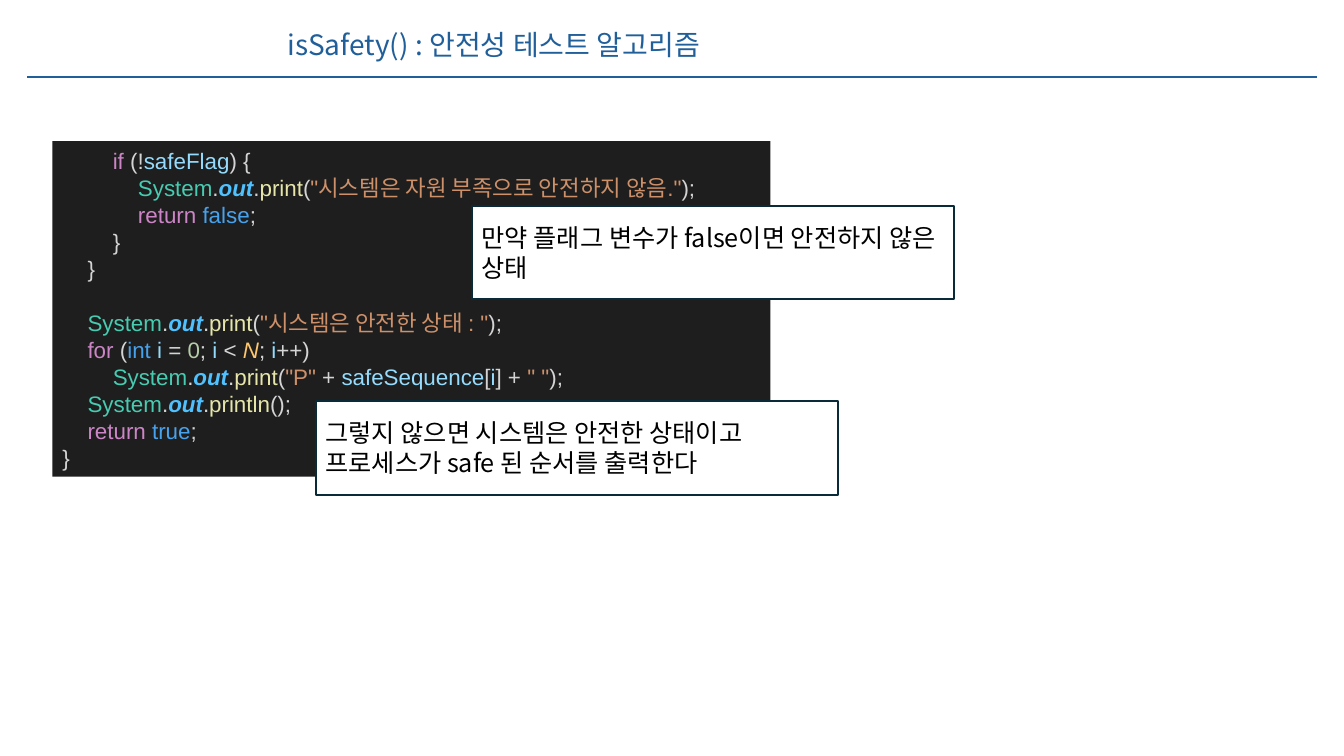
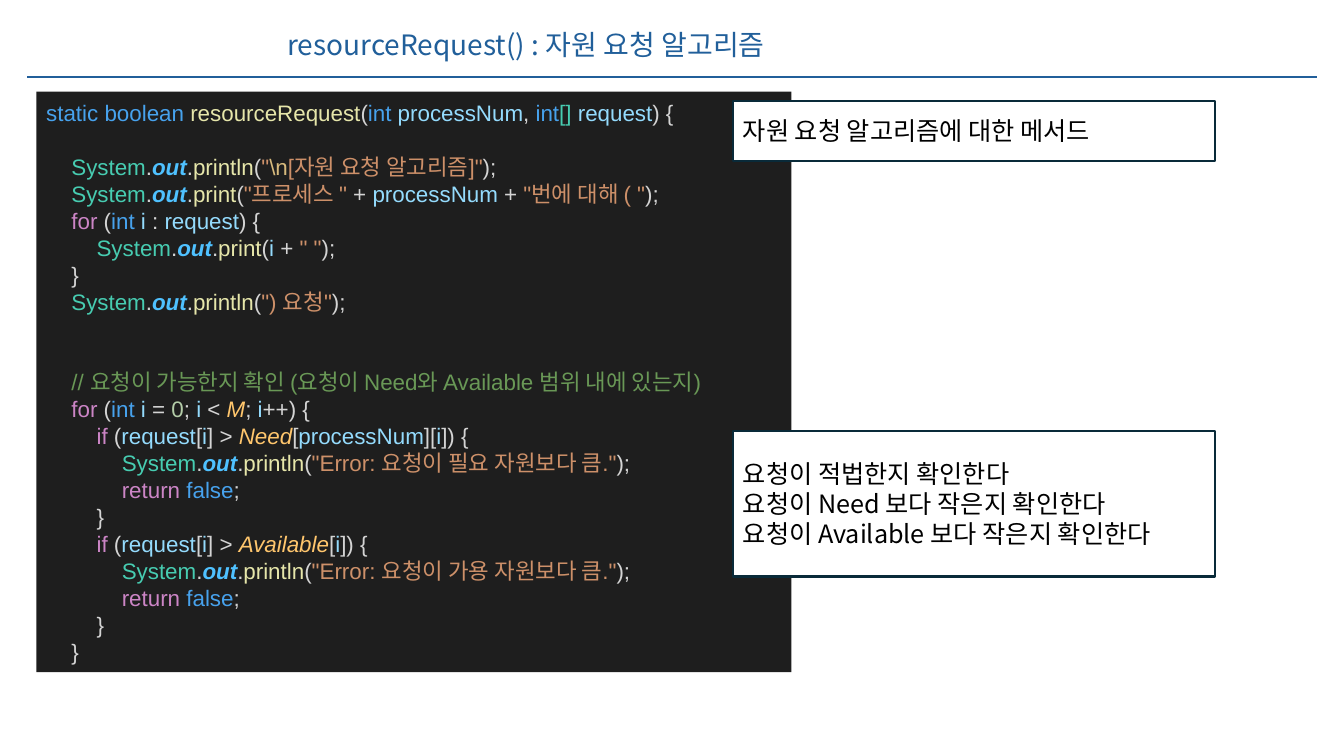
from itertools import groupby

from pptx import Presentation
from pptx import util as u
from pptx.dml.color import RGBColor
from pptx.enum import shapes, text
from pptx.oxml.ns import qn

COLORS = {
    "accent": "215F9A", "white": "FFFFFF", "black": "000000",
    "note_line": "092A39", "code_back": "1E1E1E",
    "plain": "D4D4D4", "control": "CC85C6", "keyword": "47A2ED",
    "type": "47CCB1", "field": "4FC1FF", "function": "E6E6AA",
    "variable": "94DBFD", "constant": "FFC66D", "number": "B4CDA8",
    "string": "CD9069", "escape": "D7BA7D", "comment": "699856",
}

# Words of each syntax category; any other word is a variable
VOCABULARY = {
    "control": "if for return",
    "keyword": "static boolean int true false",
    "type": "System",
    "field": "out",
    "function": "print println resourceRequest",
    "constant": "N M Need Available",
}
CATEGORY = {word: name for name, words in VOCABULARY.items() for word in words.split()}

TEXT_FONT, CODE_FONT = "Noto Sans CJK KR", "Arial"
CODE_PITCH, NOTE_PITCH, TITLE_PITCH = 19.25, 21.4, 25.5

SAFETY_CODE = r"""
        if (!safeFlag) {
            System.out.print("시스템은 자원 부족으로 안전하지 않음.");
            return false;
        }
    }

    System.out.print("시스템은 안전한 상태 : ");
    for (int i = 0; i < N; i++)
        System.out.print("P" + safeSequence[i] + " ");
    System.out.println();
    return true;
}
"""

REQUEST_CODE = r"""
static boolean resourceRequest(int processNum, int[] request) {

    System.out.println("\n[자원 요청 알고리즘]");
    System.out.print("프로세스 " + processNum + "번에 대해 ( ");
    for (int i : request) {
        System.out.print(i + " ");
    }
    System.out.println(") 요청");


    // 요청이 가능한지 확인 (요청이 Need와 Available 범위 내에 있는지)
    for (int i = 0; i < M; i++) {
        if (request[i] > Need[processNum][i]) {
            System.out.println("Error: 요청이 필요 자원보다 큼.");
            return false;
        }
        if (request[i] > Available[i]) {
            System.out.println("Error: 요청이 가용 자원보다 큼.");
            return false;
        }
    }
"""


def code_tokens(line):
    """Yield (category, text) for one line of code."""
    if line.startswith("//"):
        yield "comment", line
        return
    for index, part in enumerate(line.split('"')):
        if index % 2:  # inside quotation marks
            if part.startswith("\\n"):
                yield from (("string", '"'), ("escape", "\\n"), ("string", part[2:] + '"'))
            else:
                yield "string", f'"{part}"'
            continue
        for is_word, characters in groupby(part, str.isalnum):
            token = "".join(characters)
            if token.isdigit():
                yield "number", token
            elif is_word:
                yield CATEGORY.get(token, "variable"), token
            else:
                yield ("type" if token.strip() == "[]" else "plain"), token


class Deck:
    """Shared style and the slide being built."""

    def __init__(self):
        self.presentation = Presentation()
        self.presentation.slide_width = u.Inches(13.33)
        self.presentation.slide_height = u.Inches(7.5)
        self.slide = None

    def color(self, name):
        return RGBColor.from_string(COLORS[name])

    def add_run(self, paragraph, content, size, color, font=TEXT_FONT):
        run = paragraph.add_run()
        run.text = content
        run.font.size = u.Pt(size)
        run.font.name = font
        run.font.color.rgb = self.color(color)
        east_asian = run.font._element.makeelement(qn("a:ea"), {"typeface": TEXT_FONT})
        run.font._element.find(qn("a:latin")).addnext(east_asian)
        return run

    def format_paragraph(self, paragraph, pitch):
        paragraph.alignment = text.PP_ALIGN.LEFT
        paragraph.line_spacing = u.Pt(pitch)

    def add_slide(self, title):
        self.slide = self.presentation.slides.add_slide(self.presentation.slide_layouts[5])
        # Rule under the title
        rule = self.slide.shapes.add_connector(
            shapes.MSO_CONNECTOR.STRAIGHT,
            u.Inches(0.27), u.Inches(0.76), u.Inches(13.06), u.Inches(0.76))
        rule.line.color.rgb = self.color("accent")
        rule.line.width = u.Pt(1.5)
        properties = rule._element.spPr
        properties.append(properties.makeelement(qn("a:effectLst"), {}))
        # Title placeholder
        shape = self.slide.shapes.title
        shape.left, shape.top = u.Inches(2.75), u.Inches(0.2)
        shape.width, shape.height = u.Inches(6.35), u.Inches(0.44)
        frame = shape.text_frame
        frame.auto_size = text.MSO_AUTO_SIZE.NONE
        frame.vertical_anchor = text.MSO_ANCHOR.TOP
        paragraph = frame.paragraphs[0]
        self.format_paragraph(paragraph, TITLE_PITCH)
        self.add_run(paragraph, title, 20, "accent")

    def add_box(self, left, top, width, height, fill, line=None):
        shape = self.slide.shapes.add_shape(
            shapes.MSO_SHAPE.RECTANGLE,
            u.Inches(left), u.Inches(top), u.Inches(width), u.Inches(height))
        shape.shadow.inherit = False
        shape.fill.solid()
        shape.fill.fore_color.rgb = self.color(fill)
        if line:
            shape.line.color.rgb = self.color(line)
            shape.line.width = u.Pt(1.5)
        else:
            shape.line.fill.background()
        shape.text_frame.word_wrap = True
        shape.text_frame.vertical_anchor = text.MSO_ANCHOR.MIDDLE
        return shape.text_frame

    def add_paragraphs(self, frame, lines, pitch):
        """Yield each line with its own formatted paragraph."""
        for index, line in enumerate(lines):
            paragraph = frame.add_paragraph() if index else frame.paragraphs[0]
            self.format_paragraph(paragraph, pitch)
            yield paragraph, line

    def add_note(self, left, top, width, height, *lines):
        frame = self.add_box(left, top, width, height, "white", "note_line")
        for paragraph, line in self.add_paragraphs(frame, lines, NOTE_PITCH):
            self.add_run(paragraph, line, 18, "black")

    def add_code(self, left, top, width, height, code):
        frame = self.add_box(left, top, width, height, "code_back")
        # Empty source lines become space before the next line
        lines, gap = [], 0
        for line in code.strip("\n").split("\n"):
            if line:
                lines.append((line, gap))
            gap = 0 if line else gap + 1
        for paragraph, (line, gap) in self.add_paragraphs(frame, lines, CODE_PITCH):
            content = line.lstrip()
            level = (len(line) - len(content)) // 4
            paragraph.space_before = u.Pt(gap * CODE_PITCH)
            paragraph._p.get_or_add_pPr().set("marL", str(u.Inches(0.25 * level)))
            for category, token in code_tokens(content):
                run = self.add_run(paragraph, token, 16, category, CODE_FONT)
                run.font.bold = category == "field"
                run.font.italic = category in ("field", "constant")


def main():
    deck = Deck()

    # Safety test
    deck.add_slide("isSafety() : 안전성 테스트 알고리즘")
    deck.add_code(0.52, 1.4, 7.12, 3.33, SAFETY_CODE)
    deck.add_note(4.68, 2.04, 4.78, 0.93,
                  "만약 플래그 변수가 false이면 안전하지 않은 상태")
    deck.add_note(3.13, 3.98, 5.18, 0.93,
                  "그렇지 않으면 시스템은 안전한 상태이고",
                  "프로세스가 safe 된 순서를 출력한다")

    # Resource request
    deck.add_slide("resourceRequest() : 자원 요청 알고리즘")
    deck.add_code(0.36, 0.91, 7.49, 5.76, REQUEST_CODE)
    deck.add_note(7.27, 1, 4.78, 0.6, "자원 요청 알고리즘에 대한 메서드")
    deck.add_note(7.27, 4.28, 4.78, 1.44,
                  "요청이 적법한지 확인한다",
                  "요청이 Need 보다 작은지 확인한다",
                  "요청이 Available 보다 작은지 확인한다")

    deck.presentation.save("out.pptx")


if __name__ == "__main__":
    main()
